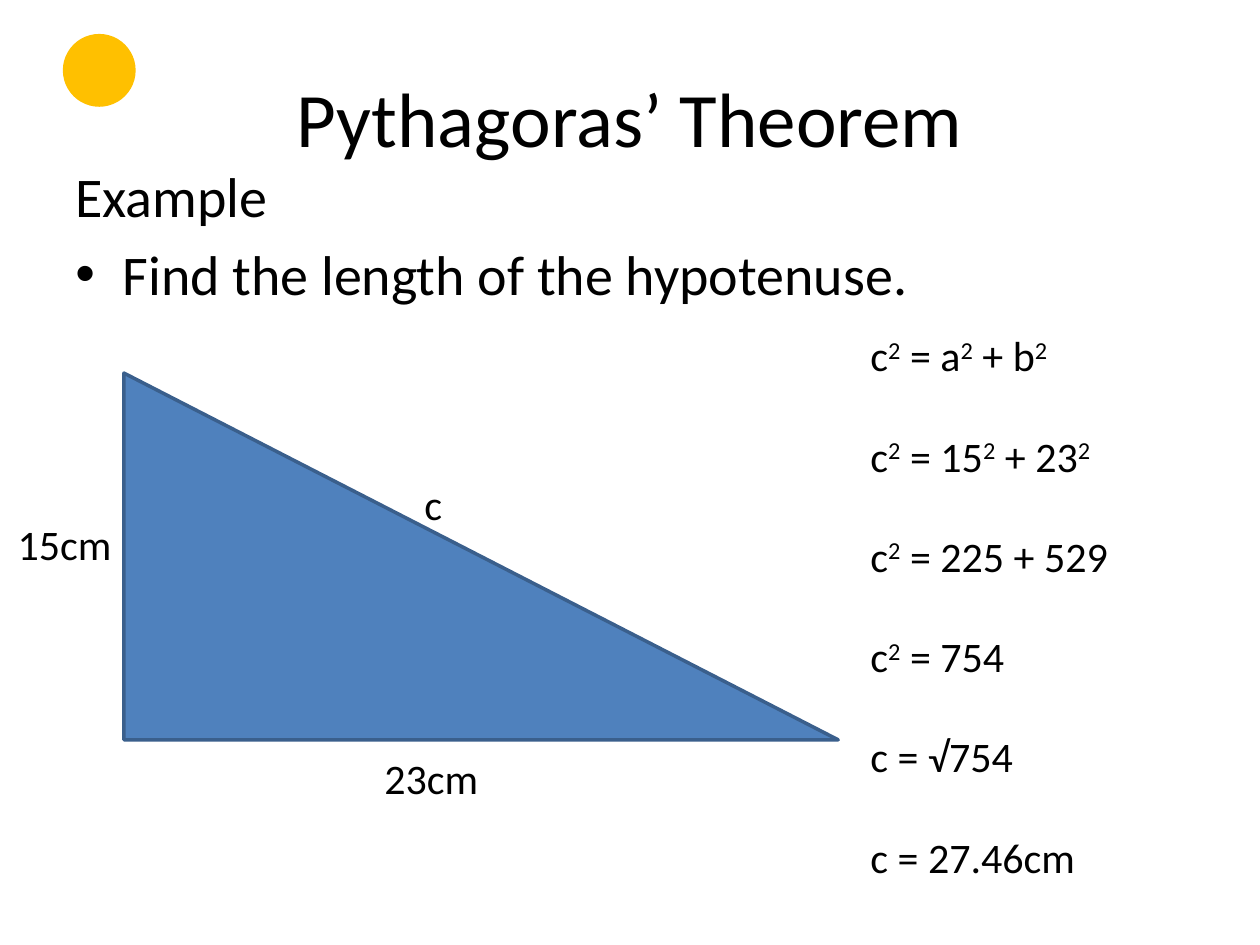
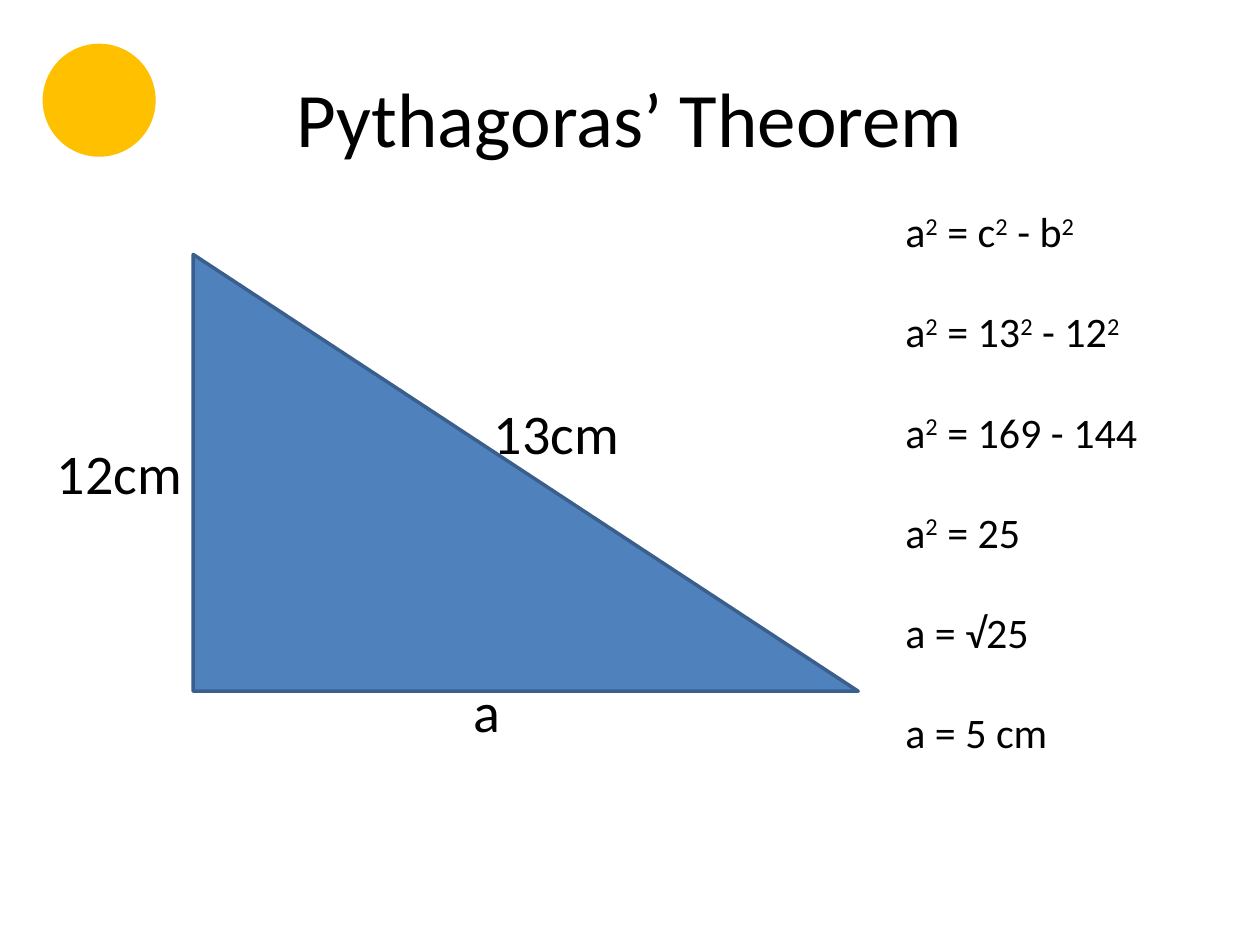
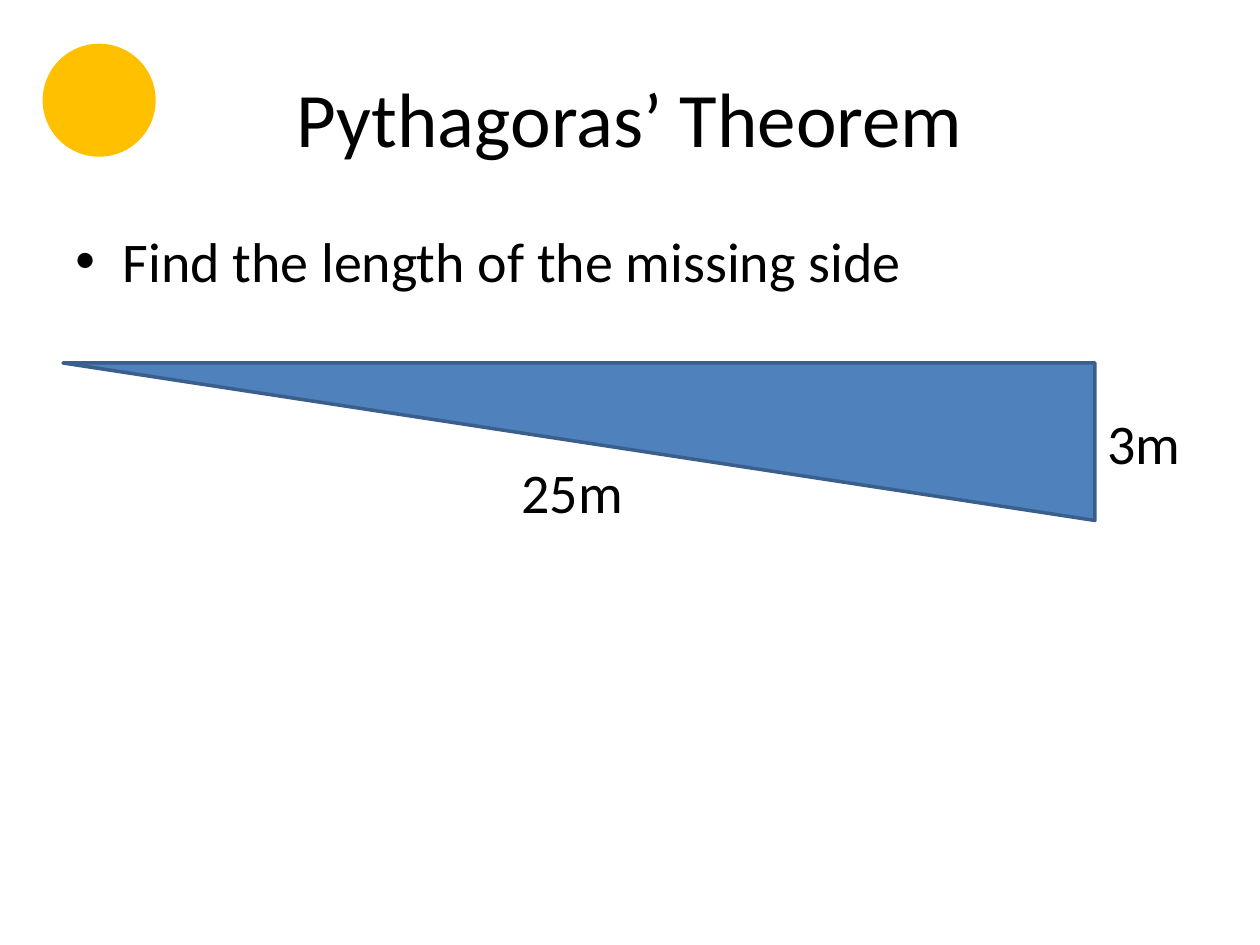
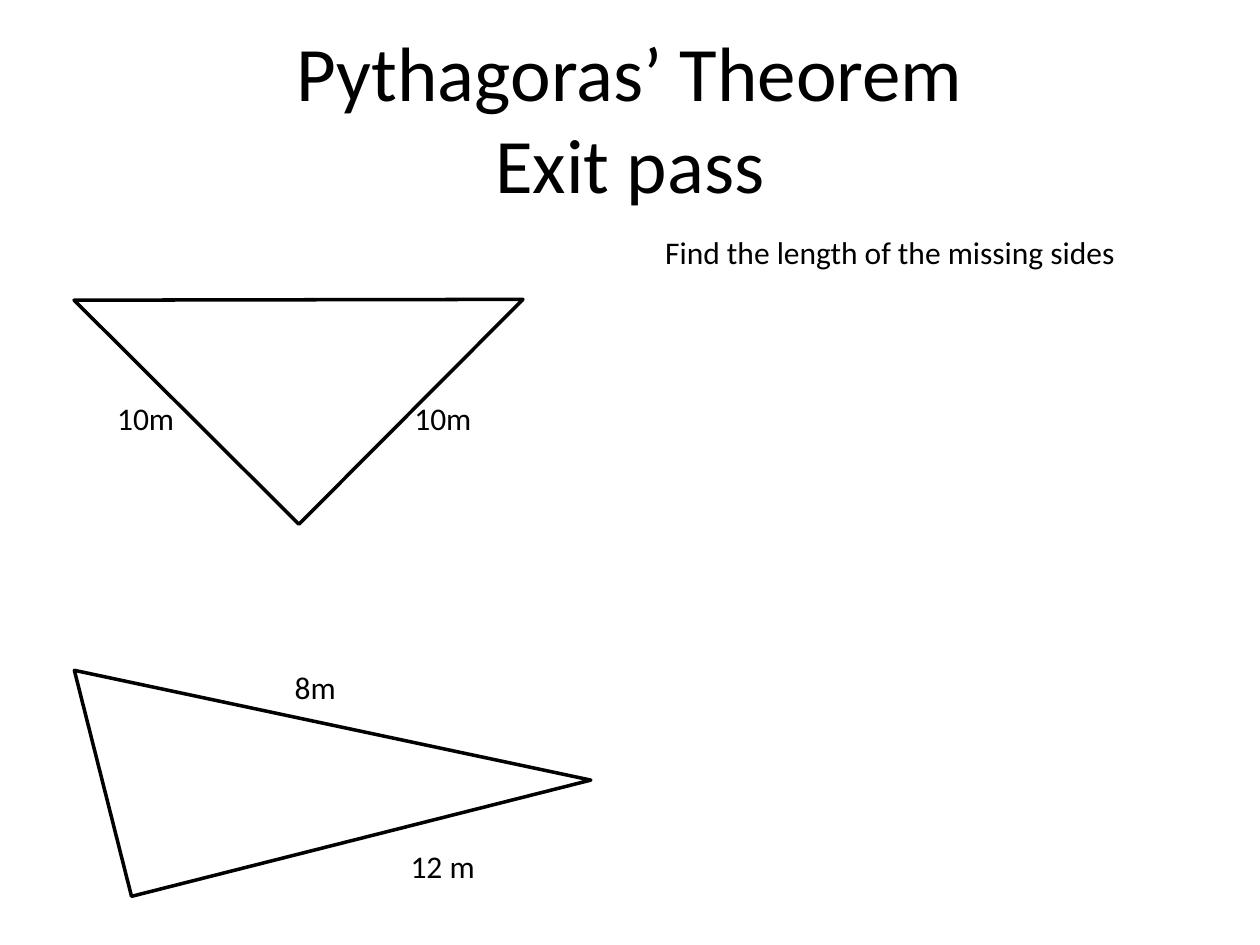
"""Build four slides on Pythagoras' theorem."""
from dataclasses import dataclass
from itertools import groupby

from pptx import Presentation
from pptx.dml.color import RGBColor
from pptx.enum.shapes import MSO_SHAPE as Preset
from pptx.enum.text import MSO_ANCHOR as Anchor, MSO_AUTO_SIZE as AutoSize, PP_ALIGN as Align
from pptx.oxml.ns import qn
from pptx.shapes.autoshape import Shape
from pptx.slide import Slide
from pptx.text.text import TextFrame, _Paragraph as Paragraph
from pptx.util import Pt
from lxml.etree import SubElement

COLOURS = {
    "text": "000000",
    "triangle": "4F81BD",
    "edge": "3A5F8C",
    "sun": "FFC000",
}
FONT = "Calibri"
TITLE_SIZE, BODY_SIZE, EQUATION_SIZE = 44, 32, 24
BODY_GAP, EQUATION_GAP = 6.4, 28.5
BULLET_INDENT = 27


@dataclass(frozen=True)
class Box:
    left: float
    top: float
    width: float
    height: float


@dataclass(frozen=True)
class Triangle:
    box: Box
    rotation: float = 0
    fill: str | None = "triangle"
    line: str = "edge"


@dataclass(frozen=True)
class Label:
    text: str
    box: Box
    size: float


@dataclass(frozen=True)
class BodyLine:
    text: str
    bulleted: bool = True


@dataclass(frozen=True)
class Lesson:
    triangles: tuple[Triangle, ...]
    labels: tuple[Label, ...]
    title: tuple[str, ...] = ("Pythagoras’ Theorem",)
    body_box: Box | None = None
    body: tuple[BodyLine, ...] = ()
    sun: Box | None = None
    equation_box: Box | None = None
    equations: tuple[str, ...] = ()


TITLE_BOX = Box(36, 21.6, 648, 90)
LARGE_SUN = Box(25.4, 26, 62.6, 62.6)

LESSONS = (
    Lesson(
        body_box=Box(36, 88.6, 648, 393.8),
        body=(BodyLine("Example", bulleted=False), BodyLine("Find the length of the hypotenuse.")),
        triangles=(Triangle(Box(70.8, 213.2, 408.2, 209.6)),),
        labels=(
            Label("c", Box(235.4, 270, 96.4, 36.6), 24),
            Label("15cm", Box(3, 292.6, 85, 36.6), 24),
            Label("23cm", Box(212.6, 426.2, 85, 36.6), 24),
        ),
        sun=Box(36.9, 20.4, 39.6, 39.6),
        equation_box=Box(490.3, 185, 209.5, 327),
        equations=("c² = a² + b²", "c² = 15² + 23²", "c² = 225 + 529", "c² = 754", "c = √754", "c = 27.46cm"),
    ),
    Lesson(
        triangles=(Triangle(Box(110.4, 145.4, 380, 249.6)),),
        labels=(
            Label("12cm", Box(25.4, 247, 96.4, 46), 32),
            Label("a", Box(263.6, 383.2, 96.4, 46), 32),
            Label("13cm", Box(275.2, 224, 96.4, 46), 32),
        ),
        sun=LARGE_SUN,
        equation_box=Box(510.2, 114, 209.5, 327),
        equations=("a² = c² - b²", "a² = 13² - 12²", "a² = 169 - 144", "a² = 25", "a = √25", "a = 5 cm"),
    ),
    Lesson(
        body_box=Box(36, 126, 648, 356.4),
        body=(BodyLine("Find the length of the missing side"),),
        triangles=(Triangle(Box(36, 207.4, 589.7, 90), rotation=180),),
        labels=(
            Label("3m", Box(625.7, 229.7, 76.3, 46), 32),
            Label("25m", Box(290.9, 257.8, 76.3, 46), 32),
        ),
        sun=LARGE_SUN,
    ),
    Lesson(
        title=("Pythagoras’ Theorem", "Exit pass"),
        triangles=(
            Triangle(Box(79.9, 80.6, 181.4, 181.4), 314.9, None, "text"),
            Triangle(Box(54.7, 347.8, 270.7, 133.2), 345.8, None, "text"),
        ),
        labels=(
            Label("10m", Box(59.8, 224.6, 56.9, 29), 18),
            Label("10m", Box(229.7, 224.6, 56.9, 29), 18),
            Label("Find the length of the missing sides", Box(373, 129.6, 282.2, 29), 18),
            Label("8m", Box(161.3, 378, 56.9, 29), 18),
            Label("12 m", Box(227.5, 480.2, 56.9, 29), 18),
        ),
    ),
)


def colour(name: str) -> RGBColor:
    return RGBColor.from_string(COLOURS[name])


def bounds(box: Box) -> tuple[Pt, Pt, Pt, Pt]:
    return Pt(box.left), Pt(box.top), Pt(box.width), Pt(box.height)


def add_text_box(slide: Slide, box: Box, grows: bool = False) -> TextFrame:
    frame = slide.shapes.add_textbox(*bounds(box)).text_frame
    frame.word_wrap = True
    frame.auto_size = AutoSize.SHAPE_TO_FIT_TEXT if grows else AutoSize.NONE
    return frame


def add_run(paragraph: Paragraph, text: str, size: float, raised: bool = False) -> None:
    run = paragraph.add_run()
    run.text = text
    run.font.size = Pt(size)
    run.font.name = FONT
    run.font.color.rgb = colour("text")
    if raised:
        run.font._element.set("baseline", "30000")


def next_paragraph(frame: TextFrame, index: int, gap: float) -> Paragraph:
    if index == 0:
        return frame.paragraphs[0]
    paragraph = frame.add_paragraph()
    paragraph.space_before = Pt(gap)
    return paragraph


def add_bullet(paragraph: Paragraph) -> None:
    properties = paragraph._p.get_or_add_pPr()
    properties.set("marL", str(Pt(BULLET_INDENT)))
    properties.set("indent", str(-Pt(BULLET_INDENT)))
    SubElement(properties, qn("a:buFont"), typeface="Arial")
    SubElement(properties, qn("a:buChar"), char="•")


def add_title(slide: Slide, lines: tuple[str, ...]) -> None:
    frame = add_text_box(slide, TITLE_BOX)
    frame.vertical_anchor = Anchor.MIDDLE
    paragraph = frame.paragraphs[0]
    paragraph.alignment = Align.CENTER
    for index, line in enumerate(lines):
        if index:
            paragraph.add_line_break()
        add_run(paragraph, line, TITLE_SIZE)


def add_body(slide: Slide, box: Box, lines: tuple[BodyLine, ...]) -> None:
    frame = add_text_box(slide, box)
    for index, line in enumerate(lines):
        paragraph = next_paragraph(frame, index, BODY_GAP)
        if line.bulleted:
            add_bullet(paragraph)
        add_run(paragraph, line.text, BODY_SIZE)


def add_equations(slide: Slide, box: Box, equations: tuple[str, ...]) -> None:
    frame = add_text_box(slide, box, grows=True)
    for index, equation in enumerate(equations):
        paragraph = next_paragraph(frame, index, EQUATION_GAP)
        for raised, characters in groupby(equation, lambda character: character == "²"):
            text = "".join(characters).replace("²", "2")
            add_run(paragraph, text, EQUATION_SIZE, raised)


def add_outlined(slide: Slide, preset: Preset, box: Box, fill: str | None, line: str) -> Shape:
    shape = slide.shapes.add_shape(preset, *bounds(box))
    shape.shadow.inherit = False
    if fill:
        shape.fill.solid()
        shape.fill.fore_color.rgb = colour(fill)
    else:
        shape.fill.background()
    shape.line.color.rgb = colour(line)
    shape.line.width = Pt(2)
    return shape


def add_triangle(slide: Slide, triangle: Triangle) -> None:
    shape = add_outlined(slide, Preset.RIGHT_TRIANGLE, triangle.box, triangle.fill, triangle.line)
    shape.rotation = triangle.rotation


def add_label(slide: Slide, label: Label) -> None:
    frame = add_text_box(slide, label.box, grows=True)
    add_run(frame.paragraphs[0], label.text, label.size)


def add_lesson(slide: Slide, lesson: Lesson) -> None:
    add_title(slide, lesson.title)
    if lesson.body_box:
        add_body(slide, lesson.body_box, lesson.body)
    for triangle in lesson.triangles:
        add_triangle(slide, triangle)
    for label in lesson.labels:
        add_label(slide, label)
    if lesson.sun:
        add_outlined(slide, Preset.OVAL, lesson.sun, "sun", "sun")
    if lesson.equation_box:
        add_equations(slide, lesson.equation_box, lesson.equations)


def main() -> None:
    presentation = Presentation()
    presentation.slide_width, presentation.slide_height = Pt(720), Pt(540)
    blank_layout = presentation.slide_layouts[6]
    for lesson in LESSONS:
        add_lesson(presentation.slides.add_slide(blank_layout), lesson)
    presentation.save("out.pptx")


if __name__ == "__main__":
    main()
